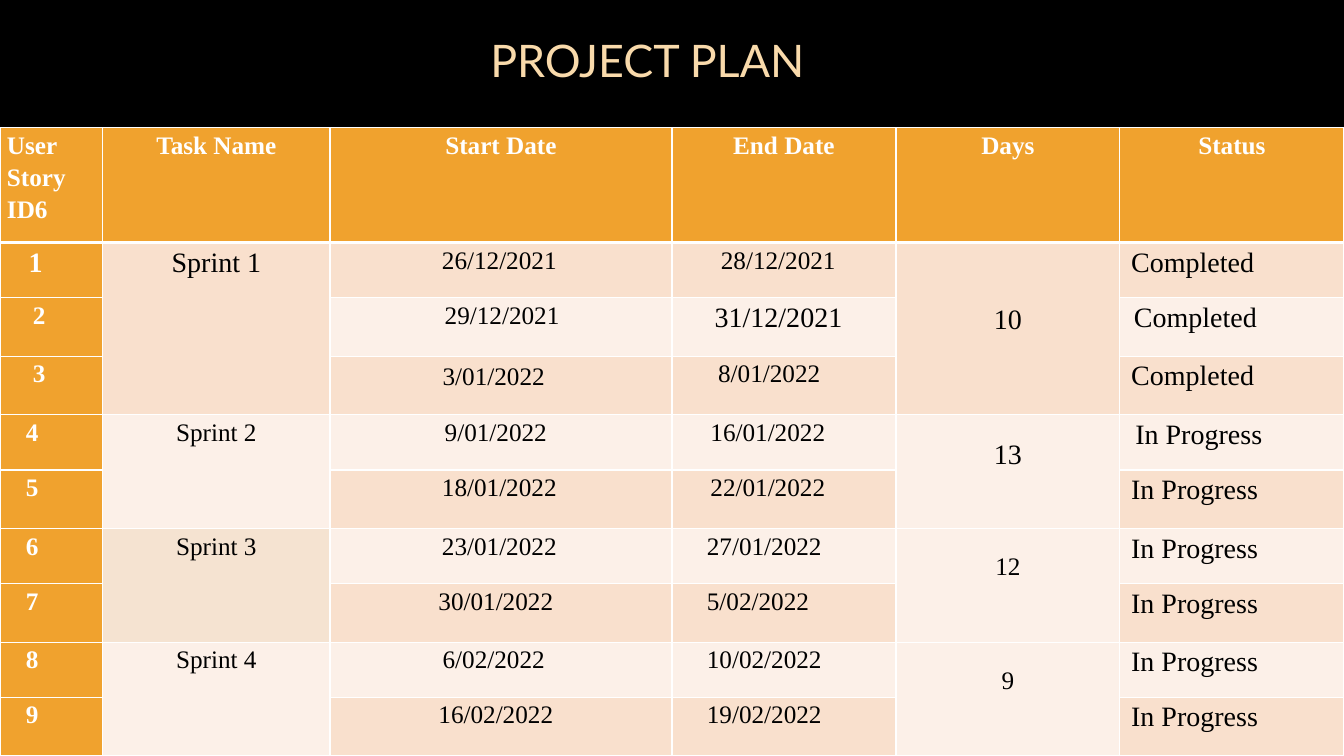
from lxml.etree import SubElement as Sub
from pptx import Presentation
from pptx.dml.color import RGBColor
from pptx.enum.text import PP_ALIGN as Align
from pptx.oxml.ns import qn
from pptx.util import Pt

SERIF = "Times New Roman"
WHITE, BLACK, GOLD = "FFFFFF", "000000", "F0A22E"
BANDS = ["FCF0E8", "F9E0CD"]
HEADS = ["User Story ID6", "Task Name", "Start Date", "End Date", "Days", "Status"]
WIDTHS = [73.5, 162.2, 244.3, 160, 160, 160]
HIGHS = [82, 39.4, 41.8, 41.8, 39.4, 41.8, 39.4, 41.8, 39.4, 41.8]

# first row, last row, name, name size, fill, days, days size, days inset
SPRINTS = [
    (1, 3, "Sprint 1", 20, BANDS[1], "10", 20, 41),
    (4, 5, "Sprint 2", 18, BANDS[0], "13", 20, 14.5),
    (6, 7, "Sprint 3", 18, "F5E3D1", "12", 18, 14.5),
    (8, 9, "Sprint 4", 18, BANDS[0], "9", 18, 14.5),
]

# id inset, start, inset, end, inset, status, inset
STORIES = [
    (20.5, "26/12/2021", 80, "28/12/2021", 35, "Completed", 8),
    (23.5, "29/12/2021", 82, "31/12/2021", 30.5, "Completed", 10),
    (23.5, "3/01/2022", 80.5, "8/01/2022", 33, "Completed", 8),
    (18.5, "9/01/2022", 82, "16/01/2022", 27.5, "In Progress", 11),
    (18.5, "18/01/2022", 80, "22/01/2022", 27.5, "In Progress", 8),
    (18.5, "23/01/2022", 80, "27/01/2022", 25, "In Progress", 8),
    (18.5, "30/01/2022", 77.5, "5/02/2022", 25, "In Progress", 8),
    (18.5, "6/02/2022", 80.5, "10/02/2022", 25, "In Progress", 8),
    (18.5, "16/02/2022", 77.5, "19/02/2022", 25, "In Progress", 8),
]


def tint(fill, hue):
    """Make a fill solid in a hex colour."""
    fill.solid()
    fill.fore_color.rgb = RGBColor.from_string(hue)


def style(frame, size, hue, bold=False, font=SERIF, align=Align.LEFT):
    """Format every paragraph and run of a text frame."""
    for para in frame.paragraphs:
        para.alignment = align
        para.line_spacing = 1.15
        for run in para.runs:
            run.font.name = font
            run.font.size = Pt(size)
            run.font.bold = bold
            run.font.color.rgb = RGBColor.from_string(hue)


def edge(cell, top, foot):
    """Draw white borders around a cell."""
    props = cell._tc.get_or_add_tcPr()
    for spot, (side, wide) in enumerate(zip("LRTB", (1, 1, top, foot))):
        line = Sub(props, qn("a:ln" + side), w=str(Pt(wide)))
        Sub(Sub(line, qn("a:solidFill")), qn("a:srgbClr"), val=WHITE)
        props.insert(spot, line)


def put(cell, text, size, hue=BLACK, bold=False, left=5, top=0, align=Align.LEFT):
    """Write text into a cell at the given insets."""
    cell.margin_left, cell.margin_right = Pt(left), Pt(5)
    cell.margin_top, cell.margin_bottom = Pt(top), Pt(0)
    cell.text_frame.text = text
    style(cell.text_frame, size, hue, bold, align=align)


def title(slide, x, y, w, h):
    """Place the heading in its box."""
    frame = slide.shapes.add_textbox(Pt(x), Pt(y), Pt(w), Pt(h)).text_frame
    frame.word_wrap = True
    frame.text = "PROJECT PLAN"
    style(frame, 32, "F9DAAB", font="Lato", align=Align.CENTER)


def plan(slide, x, y, w, h):
    """Place the sprint table in its box."""
    table = slide.shapes.add_table(
        len(HIGHS), len(WIDTHS), Pt(x), Pt(y), Pt(w), Pt(h)).table
    table.first_row = table.horz_banding = False
    for col, wide in zip(table.columns, WIDTHS):
        col.width = Pt(wide * w / sum(WIDTHS))
    for row, high in zip(table.rows, HIGHS):
        row.height = Pt(high * h / sum(HIGHS))

    for r, row in enumerate(table.rows):
        for c, cell in enumerate(row.cells):
            tint(cell.fill, GOLD if r == 0 or c == 0 else BANDS[r % 2])
            edge(cell, 3 if r == 1 else 1, 3 if r == 0 else 1)

    for c, head in enumerate(HEADS):
        put(table.cell(0, c), head, 18, WHITE, True,
            align=Align.CENTER if c else Align.LEFT)

    for r, (inset, start, sx, end, ex, state, tx) in enumerate(STORIES, 1):
        put(table.cell(r, 0), str(r), 20 if r == 1 else 18, WHITE, True, inset)
        put(table.cell(r, 2), start, 18, left=sx, top=2 if r == 3 else 0)
        put(table.cell(r, 3), end, 20 if r == 2 else 18, left=ex)
        put(table.cell(r, 5), state, 20, left=tx)

    for first, last, name, size, hue, days, big, drop in SPRINTS:
        for c in (1, 4):
            table.cell(first, c).merge(table.cell(last, c))
        for r in range(first, last + 1):
            tint(table.cell(r, 1).fill, hue)
            tint(table.cell(r, 4).fill, BANDS[first % 2])
        put(table.cell(first, 1), name, size, align=Align.CENTER)
        put(table.cell(first, 4), days, big, top=drop, align=Align.CENTER)


def main():
    """Build and save the slide."""
    deck = Presentation()
    deck.slide_width, deck.slide_height = Pt(960), Pt(540)
    slide = deck.slides.add_slide(deck.slide_layouts[6])
    tint(slide.background.fill, BLACK)
    plan(slide, 0, 91.2, 960, 448.8)
    title(slide, 196, 14.4, 533, 49.7)
    deck.save("out.pptx")


if __name__ == "__main__":
    main()
